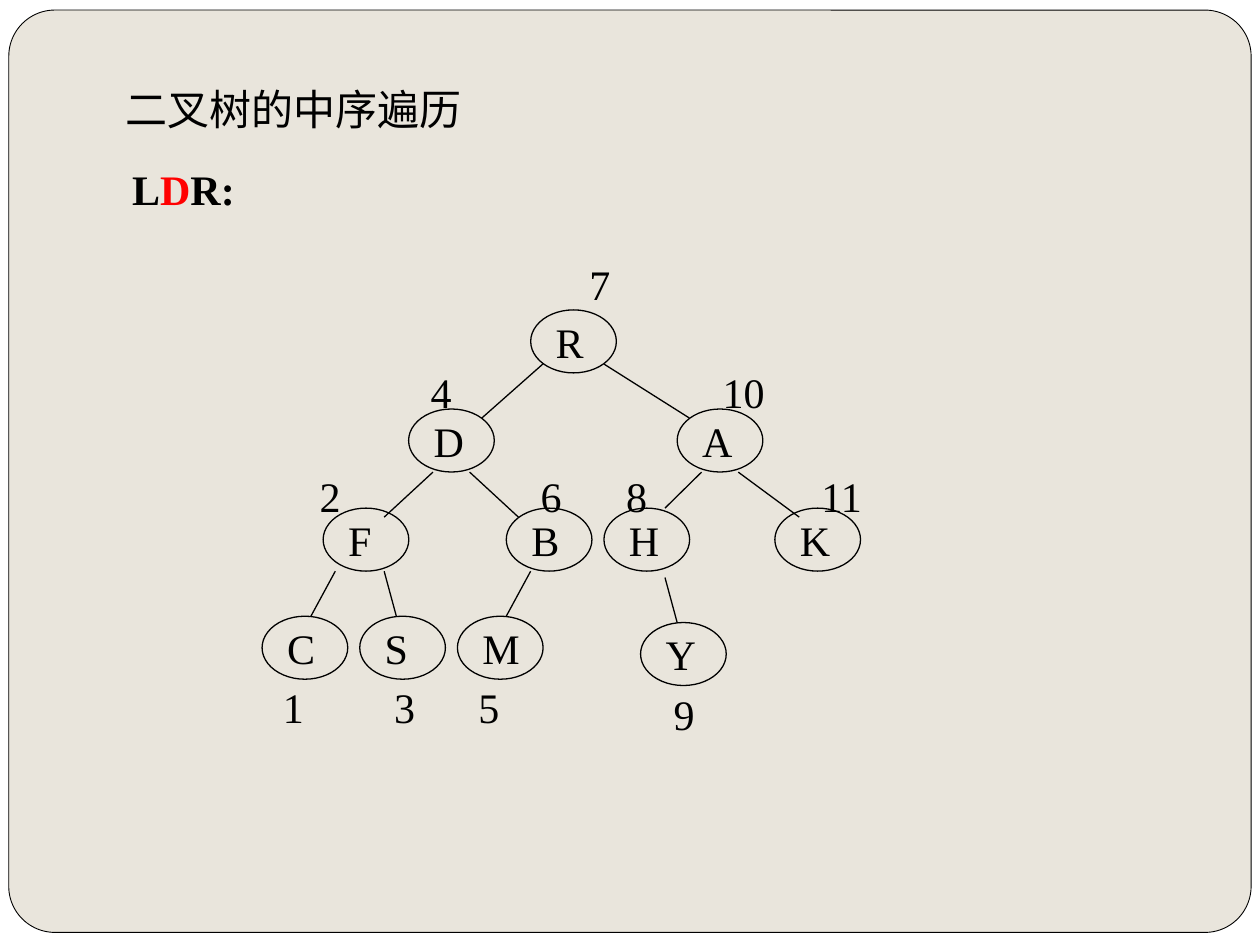
from lxml.etree import SubElement
from pptx import Presentation
from pptx.dml.color import RGBColor
from pptx.enum.shapes import MSO_CONNECTOR, MSO_SHAPE
from pptx.enum.text import MSO_AUTO_SIZE
from pptx.oxml.ns import qn
from pptx.util import Inches, Pt

COLORS = {"ink": "000000", "paper": "FFFFFF", "panel": "E9E5DC", "mark": "FF0000"}
FONT = {"name": "Times New Roman", "size": Pt(24)}
FRAME = {"word_wrap": False, "auto_size": MSO_AUTO_SIZE.SHAPE_TO_FIT_TEXT}

WIDE, HIGH = 10, 7.5
LEFT, TOP = 2.08, 2.46
COL, ROW = 0.0969, 0.0715
NODE_W, NODE_H = 0.68, 0.5
INSET = 0.1

HEADS = [
    (0.95, 1.25, 1.02, True, [("L", "ink"), ("D", "mark"), ("R:", "ink")]),
    (0.9, 0.61, 2.87, False, [("二叉树的中序遍历", "ink")]),
]
NODES = [
    ("R", 22, 0, 0.42), ("D", 12, 11, 0.44), ("A", 34, 11, 0.44),
    ("F", 5, 22, 0.39), ("B", 20, 22, 0.42), ("H", 28, 22, 0.44),
    ("K", 42, 22, 0.44), ("C", 0, 34, 0.42), ("S", 8, 34, 0.39),
    ("M", 16, 34, 0.5), ("Y", 31, 34.7, 0.44),
]
EDGES = [
    (23, 6, 18, 12), (14, 18, 10, 23), (6, 29, 4, 34), (10, 29, 11, 34),
    (22, 29, 20, 34), (17, 18, 21, 23), (28, 6, 35, 12), (36, 18, 33, 22),
    (39, 18, 44, 23), (33, 29.7, 34, 34.7),
]
RANKS = [
    ("7", 25.8, -6.4), ("4", 12.8, 5.6), ("10", 36.7, 5.6), ("2", 3.7, 17.1),
    ("6", 21.8, 17.1), ("8", 28.8, 17.1), ("11", 44.8, 17.1), ("1", 0.7, 40.6),
    ("3", 9.8, 40.6), ("5", 16.7, 40.6), ("9", 32.7, 41.3),
]


def tint(name):
    return RGBColor.from_string(COLORS[name])


def apply(item, values):
    for key, value in values.items():
        setattr(item, key, value)


def place(col, row):
    return LEFT + col * COL, TOP + row * ROW


def stroke(line, width):
    line.color.rgb = tint("ink")
    line.width = Pt(width)


def draw(slide, kind, x, y, w, h, width, fill=None):
    shape = slide.shapes.add_shape(kind, Inches(x), Inches(y), Inches(w), Inches(h))
    shape.shadow.inherit = False
    if fill:
        shape.fill.solid()
        shape.fill.fore_color.rgb = tint(fill)
    else:
        shape.fill.background()
    stroke(shape.line, width)
    return shape


def write(slide, x, y, w, runs, bold=False):
    box = slide.shapes.add_textbox(Inches(x), Inches(y), Inches(w), Inches(NODE_H))
    apply(box.text_frame, FRAME)
    para = box.text_frame.paragraphs[0]
    for text, color in runs:
        run = para.add_run()
        run.text = text
        apply(run.font, {**FONT, "bold": bold})
        run.font.color.rgb = tint(color)


def link(slide, start, end):
    ends = [Inches(v) for v in (*start, *end)]
    line = slide.shapes.add_connector(MSO_CONNECTOR.STRAIGHT, *ends)
    stroke(line.line, 0.75)
    SubElement(line._element.spPr, qn("a:effectLst"))


def main():
    deck = Presentation()
    apply(deck, {"slide_width": Inches(WIDE), "slide_height": Inches(HIGH)})
    slide = deck.slides.add_slide(deck.slide_layouts[6])
    back = slide.background.fill
    back.solid()
    back.fore_color.rgb = tint("paper")
    panel = draw(slide, MSO_SHAPE.ROUNDED_RECTANGLE, 0.07, 0.08, 9.86, 7.32, 0.5, "panel")
    panel.adjustments[0] = 0.05
    for name, col, row, w in NODES:
        x, y = place(col, row)
        draw(slide, MSO_SHAPE.OVAL, x, y, NODE_W, NODE_H, 0.75)
        write(slide, x + INSET, y, w, [(name, "ink")])
    for a, b, c, d in EDGES:
        link(slide, place(a, b), place(c, d))
    for rank, col, row in RANKS:
        write(slide, *place(col, row), 0.21 + 0.16 * len(rank), [(rank, "ink")])
    for x, y, w, bold, runs in HEADS:
        write(slide, x, y, w, runs, bold)
    deck.save("out.pptx")


if __name__ == "__main__":
    main()
